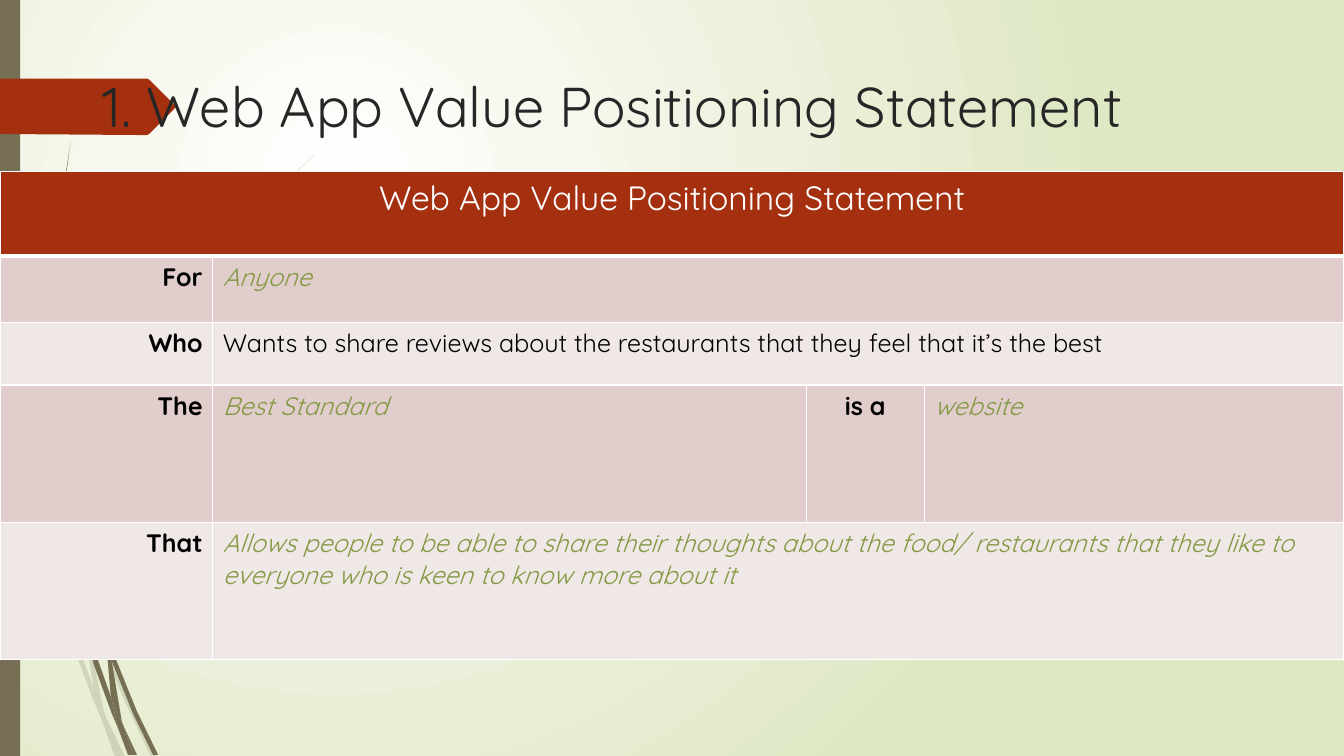
from dataclasses import dataclass

from lxml.etree import SubElement
from pptx import Presentation
from pptx.dml.color import RGBColor as Rgb
from pptx.enum.text import MSO_ANCHOR as Anchor, PP_ALIGN as Align
from pptx.enum.shapes import MSO_SHAPE as Preset
from pptx.oxml.ns import qn
from pptx.util import Cm, Pt


@dataclass(frozen=True)
class Theme:
    font: str = "Quicksand"
    title_size: int = 40
    header_size: int = 24
    body_size: int = 18
    white: str = "FFFFFF"
    backdrop: str = "DFE8C4"
    reed: str = "766F54"
    accent: str = "A53010"
    title: str = "262626"
    label: str = "000000"
    answer: str = "839943"
    bands: tuple = ("E1CDCC", "F0E8E7")


# Outlines are x,y pairs in hundredths of an inch.
OUTLINE_UNIT = Cm(0.0254)

PALE_REEDS = [
    "11,350 9,322 0,282 0,299 10,344",
    "58,522 84,599 85,586 62,520 14,345 17,376",
    "92,607 88,596 88,610 123,694 150,751 155,751 127,692",
    "119,751 124,751 105,711",
    "93,683 70,619 31,469 17,376 11,350 28,470 65,621 92,693 101,714 99,707",
    "84,599 87,646 93,683 96,692 105,711 103,706 91,646 88,610 88,608",
    "88,584 110,462 160,349 229,245 268,198 290,175 312,154 312,153 289,175 "
    "268,197 228,244 158,348 107,461 85,584 85,586 88,596",
    "101,714 114,751 119,751",
    "88,608 88,610 88,596 85,586 84,599",
    "96,692 93,683 99,707 101,714 119,751 105,711",
]
DARK_REEDS = [
    "7,110 17,233 33,355 56,477 57,481 55,457 55,453 36,355 19,232 8,109 "
    "5,48 4,0 3,0 4,48",
    "88,592 106,645 106,633 106,631 93,590 60,472 64,505",
    "113,649 110,641 111,656 132,708 152,749 157,749 136,706",
    "110,691 98,657 72,556 64,505 57,477 68,557 93,659 111,708 117,722 116,717",
    "60,472 58,453 54,349 58,245 63,193 70,141 62,193 56,245 52,349 55,449",
    "133,749 136,749 122,719",
    "57,477 64,505 60,472 55,449 55,453",
    "111,633 125,552 158,476 205,406 231,374 245,359 261,344 260,344 245,358 "
    "231,373 204,405 156,474 122,551 106,631 110,641",
    "117,722 127,749 131,749",
    "106,645 110,691 116,706 122,719 121,716 111,656 109,651",
    "106,645 109,651 111,656 110,641 106,631 106,633",
    "116,706 110,691 116,717 117,722 130,749 133,749 122,719",
]
TITLE_TAG = ("173,108 148,133 146,134 136,134 0,133 0,78 136,78 146,78 "
             "148,79 173,104 174,106")

STATEMENT = [
    ["For", "Anyone"],
    ["Who", "Wants to share reviews about the restaurants "
            "that they feel that it’s the best"],
    ["The", "Best Standard", "is a", "website"],
    ["That", "Allows people to be able to share their thoughts about the food/ "
             "restaurants that they like to everyone who is keen to know more "
             "about it"],
]
PLAIN_ROW = "Who"
COLUMN_WIDTHS = [5.36, 14.96, 2.97, 10.58]
ROW_HEIGHTS = [2.13, 1.68, 1.57, 3.46, 3.45]


class SlideBuilder:
    def __init__(self, slide, theme):
        self.slide = slide
        self.theme = theme

    def background(self):
        fill = self.slide.background.fill
        fill.gradient()
        for stop, color in zip(fill.gradient_stops,
                               (self.theme.white, self.theme.backdrop)):
            stop.color.rgb = Rgb.from_string(color)
        gradient = self.slide.element.find(".//" + qn("a:gradFill"))
        gradient.remove(gradient.find(qn("a:lin")))
        circle = SubElement(gradient, qn("a:path"), path="circle")
        SubElement(circle, qn("a:fillToRect"),
                   l="50000", t="50000", r="100000", b="100000")

    def paint(self, shape, color, opacity=100):
        shape.shadow.inherit = False
        shape.fill.solid()
        shape.fill.fore_color.rgb = Rgb.from_string(color)
        shape.line.fill.background()
        if opacity < 100:
            tint = shape.element.find(".//" + qn("a:srgbClr"))
            SubElement(tint, qn("a:alpha"), val=str(opacity * 1000))

    def outline(self, shapes, points, color, opacity=100):
        start, *rest = [tuple(map(int, pair.split(",")))
                        for pair in points.split()]
        builder = shapes.build_freeform(*start, scale=OUTLINE_UNIT)
        builder.add_line_segments(rest, close=True)
        self.paint(builder.convert_to_shape(), color, opacity)

    def reeds(self, outlines, opacity):
        group = self.slide.shapes.add_group_shape()
        for points in outlines:
            self.outline(group.shapes, points, self.theme.reed, opacity)

    def side_bar(self):
        bar = self.slide.shapes.add_shape(
            Preset.RECTANGLE, 0, 0, Cm(0.51), Cm(19.05))
        self.paint(bar, self.theme.reed)

    def title_tag(self):
        self.outline(self.slide.shapes, TITLE_TAG, self.theme.accent)

    def add_text(self, frame, text, size, color, align=Align.LEFT,
                 bold=False, italic=False):
        paragraph = frame.paragraphs[0]
        paragraph.alignment = align
        run = paragraph.add_run()
        run.text = text
        font = run.font
        font.name, font.size = self.theme.font, Pt(size)
        font.bold, font.italic = bold, italic
        font.color.rgb = Rgb.from_string(color)

    def title(self, text):
        box = self.slide.shapes.add_textbox(
            Cm(2.34), Cm(1.68), Cm(31.22), Cm(3.02))
        box.text_frame.word_wrap = True
        box.text_frame.vertical_anchor = Anchor.TOP
        self.add_text(box.text_frame, text,
                      self.theme.title_size, self.theme.title)

    def style_cell(self, cell, color, top, bottom):
        """Fill a cell and rule its edges in white; top and bottom in points."""
        properties = cell._tc.get_or_add_tcPr()
        for edge, width in (("L", 1), ("R", 1), ("T", top), ("B", bottom)):
            line = SubElement(properties, qn("a:ln" + edge), w=str(Pt(width)))
            solid = SubElement(line, qn("a:solidFill"))
            SubElement(solid, qn("a:srgbClr"), val=self.theme.white)
        cell.fill.solid()
        cell.fill.fore_color.rgb = Rgb.from_string(color)

    def statement_table(self, heading, rows):
        theme = self.theme
        table = self.slide.shapes.add_table(
            len(ROW_HEIGHTS), len(COLUMN_WIDTHS), 0, Cm(4.32),
            Cm(sum(COLUMN_WIDTHS)), Cm(sum(ROW_HEIGHTS))).table
        for column, width in zip(table.columns, COLUMN_WIDTHS):
            column.width = Cm(width)
        for row, height in zip(table.rows, ROW_HEIGHTS):
            row.height = Cm(height)

        last = len(COLUMN_WIDTHS) - 1
        for r, row in enumerate(table.rows):
            color = theme.bands[(r - 1) % 2] if r else theme.accent
            for cell in row.cells:
                self.style_cell(cell, color, top=3 if r == 1 else 1,
                                bottom=1 if r else 3)

        header = table.cell(0, 0)
        header.merge(table.cell(0, last))
        self.add_text(header.text_frame, heading, theme.header_size,
                      theme.white, Align.CENTER)
        for r, texts in enumerate(rows, start=1):
            if len(texts) == 2:
                table.cell(r, 1).merge(table.cell(r, last))
            for c, text in enumerate(texts):
                frame = table.cell(r, c).text_frame
                if c % 2 == 0:
                    self.add_text(frame, text, theme.body_size, theme.label,
                                  Align.CENTER if c else Align.RIGHT, bold=True)
                else:
                    plain = texts[0] == PLAIN_ROW
                    self.add_text(frame, text, theme.body_size,
                                  theme.label if plain else theme.answer,
                                  italic=not plain)


def main():
    deck = Presentation()
    deck.slide_width, deck.slide_height = Cm(33.87), Cm(19.05)
    page = SlideBuilder(deck.slides.add_slide(deck.slide_layouts[6]), Theme())
    page.background()
    page.reeds(PALE_REEDS, opacity=20)
    page.reeds(DARK_REEDS, opacity=100)
    page.side_bar()
    page.title_tag()
    page.title("1. Web App Value Positioning Statement")
    page.statement_table("Web App Value Positioning Statement", STATEMENT)
    deck.save("out.pptx")


if __name__ == "__main__":
    main()
